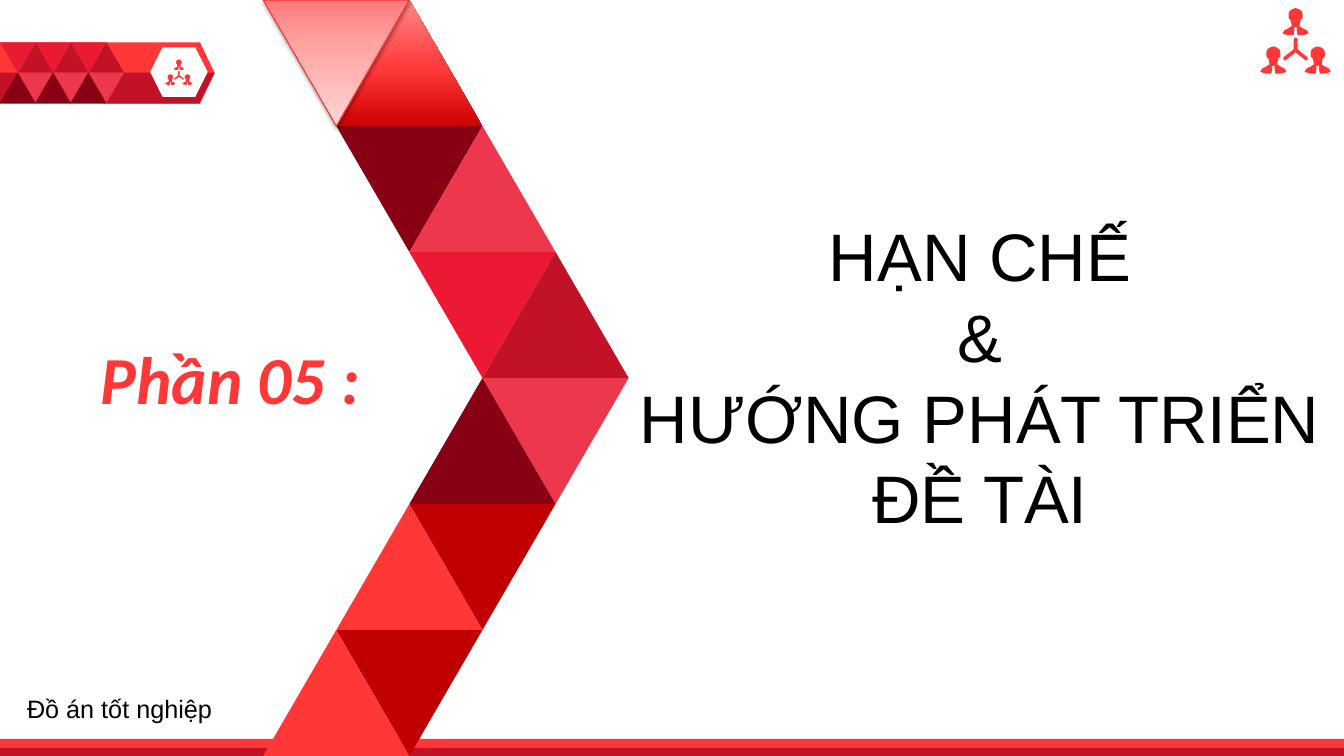
import pptx
import pptx.util
import pptx.dml.color
import pptx.enum.shapes
import pptx.enum.text
import pptx.oxml

Inches = pptx.util.Inches
RGB = pptx.dml.color.RGBColor
KIND = pptx.enum.shapes.MSO_SHAPE
ALIGN = pptx.enum.text.PP_ALIGN

RED = RGB(0xFF, 0x37, 0x37)
DARK = RGB(0xC2, 0x12, 0x27)
WINE = RGB(0x88, 0x00, 0x14)
ROSE = RGB(0xED, 0x37, 0x4D)
CRIMSON = RGB(0xEB, 0x19, 0x32)
BRICK = RGB(0xC0, 0x00, 0x00)
EDGE = RGB(0xFD, 0x30, 0x30)
WHITE = RGB(0xFF, 0xFF, 0xFF)
BLACK = RGB(0, 0, 0)

DEEP = [(0, "CF0000"), (48, "FF3C3C"), (100, "FF8787")]
PALE = [(0, "FF7A7B"), (35, "FFA3A3"), (100, "FFD6D6")]
NS = 'xmlns:a="http://schemas.openxmlformats.org/drawingml/2006/main"'

# Right halves of the icon outlines, from the icon's top centre
HALF_MAN = [(0, 0), (.03, .01), (.06, .03), (.07, .06), (.07, .1), (.05, .12),
            (.04, .16), (.04, .18), (.07, .2), (.11, .22), (.13, .25),
            (.11, .26), (.07, .27), (.02, .27), (.01, .21), (.02, .2), (0, .19)]
HALF_FORK = [(0, .29), (.02, .31), (.02, .41), (.12, .49), (.12, .51),
             (.11, .52), (.1, .52), (0, .44)]


class Deck:
    def __init__(self):
        self.prs = pptx.Presentation()
        self.prs.slide_width = Inches(13.33)
        self.prs.slide_height = Inches(7.5)
        self.slide = self.prs.slides.add_slide(self.prs.slide_layouts[6])

    def paint(self, shape, color):
        shape.shadow.inherit = False
        shape.line.fill.background()
        shape.fill.solid()
        shape.fill.fore_color.rgb = color
        return shape

    def shape(self, kind, x, y, w, h, color, adj=None):
        shape = self.slide.shapes.add_shape(
            kind, Inches(x), Inches(y), Inches(w), Inches(h))
        if adj is not None:
            shape.adjustments[0] = adj
        return self.paint(shape, color)

    def tri(self, x, y, w, h, color, down=False):
        shape = self.shape(KIND.ISOSCELES_TRIANGLE, x, y, w, h, color)
        shape.rotation = 180 if down else 0
        return shape

    def blend(self, shape, stops):
        marks = "".join(f'<a:gs pos="{pos * 1000}"><a:srgbClr val="{color}"/></a:gs>'
                        for pos, color in stops)
        grad = pptx.oxml.parse_xml(
            f'<a:gradFill {NS} rotWithShape="1"><a:gsLst>{marks}</a:gsLst>'
            '<a:lin ang="16200000" scaled="0"/></a:gradFill>')
        props = shape.fill._xPr
        props.replace(props.solidFill, grad)

    def shade(self, shape):
        shape._element.spPr.effectLst.append(pptx.oxml.parse_xml(
            f'<a:outerShdw {NS} blurRad="39370" dist="20320" dir="5400000" '
            'rotWithShape="0"><a:srgbClr val="000000"><a:alpha val="37000"/>'
            '</a:srgbClr></a:outerShdw>'))

    def outline(self, loops, color):
        loops = [[(Inches(x), Inches(y)) for x, y in loop] for loop in loops]
        pen = self.slide.shapes.build_freeform(*loops[0][0])
        for i, loop in enumerate(loops):
            if i:
                pen.move_to(*loop[0])
            pen.add_line_segments(loop[1:], close=True)
        return self.paint(pen.convert_to_shape(), color)

    def team(self, x, y, size):
        parts = [(HALF_FORK, 0, 0), (HALF_MAN, 0, 0),
                 (HALF_MAN, -.22, .38), (HALF_MAN, .22, .38)]
        loops = []
        for half, dx, dy in parts:
            full = half + [(-a, b) for a, b in half[-2:0:-1]]
            loops.append([(x + (a + dx) * size, y + (b + dy) * size)
                          for a, b in full])
        self.outline(loops, RED)

    def text(self, x, y, w, h, lines, size, font, color,
             align=ALIGN.LEFT, strong=False):
        box = self.slide.shapes.add_textbox(
            Inches(x), Inches(y), Inches(w), Inches(h))
        frame = box.text_frame
        frame.word_wrap = True
        for i, line in enumerate(lines):
            para = frame.paragraphs[0] if i == 0 else frame.add_paragraph()
            para.alignment = align
            run = para.add_run()
            run.text = line
            run.font.size = pptx.util.Pt(size)
            run.font.name = font
            run.font.color.rgb = color
            run.font.bold = run.font.italic = strong


def main():
    deck = Deck()

    # Badge at top left
    deck.shape(KIND.PENTAGON, 0, .42, 2.13, .61, RED, .239)
    deck.outline([[(0, .72), (2.13, .72), (1.98, 1.02), (0, 1.02)]], DARK)
    deck.shape(KIND.HEXAGON, 1.49, .47, .57, .49, WHITE, .25)
    deck.team(1.775, .59, .386)
    for i in range(3):
        x = .35 * i
        deck.tri(x, .42, .35, .3, CRIMSON, True)
        deck.tri(x + .18, .42, .35, .3, DARK)
        deck.tri(x + .18, .72, .35, .3, ROSE, True)
        deck.tri(x, .72, .35, .3, WINE)

    # Bottom bars
    deck.shape(KIND.RECTANGLE, 0, 7.33, 13.33, .16, RED)
    deck.shape(KIND.RECTANGLE, 0, 7.42, 13.33, .08, DARK)

    # Big arrow of triangles: column, row, colour, points down
    wide, high = 1.45, 1.25
    tiles = [(1, 0, RED, False), (1, 1, WINE, True), (0, 0, ROSE, True),
             (2, 1, ROSE, False), (2, 2, CRIMSON, True), (3, 2, DARK, False),
             (3, 3, ROSE, True), (2, 3, WINE, False), (2, 4, BRICK, True),
             (1, 4, RED, False), (1, 5, BRICK, True), (0, 5, RED, False)]
    for col, row, color, down in tiles:
        tile = deck.tri(2.61 + col * wide / 2, row * high, wide, high, color, down)
        if row == 0:
            deck.blend(tile, PALE if down else DEEP)
            if down:
                tile.line.color.rgb = EDGE
                tile.line.width = pptx.util.Pt(.75)
                deck.shade(tile)

    # Titles, icon and footer
    deck.text(.9, 3.3, 4.12, .9, ["Phần 05 :"], 48, "Calibri", RED, strong=True)
    deck.text(6.22, 2.08, 7, 3.33,
              ["HẠN CHẾ", "&", "HƯỚNG PHÁT TRIỂN", "ĐỀ TÀI"],
              48, "Arial", BLACK, ALIGN.CENTER)
    deck.team(12.85, .08, 1)
    deck.text(.17, 6.83, 2.83, .4, ["Đồ án tốt nghiệp"], 18, "Arial", BLACK)

    deck.prs.save("out.pptx")


if __name__ == "__main__":
    main()
